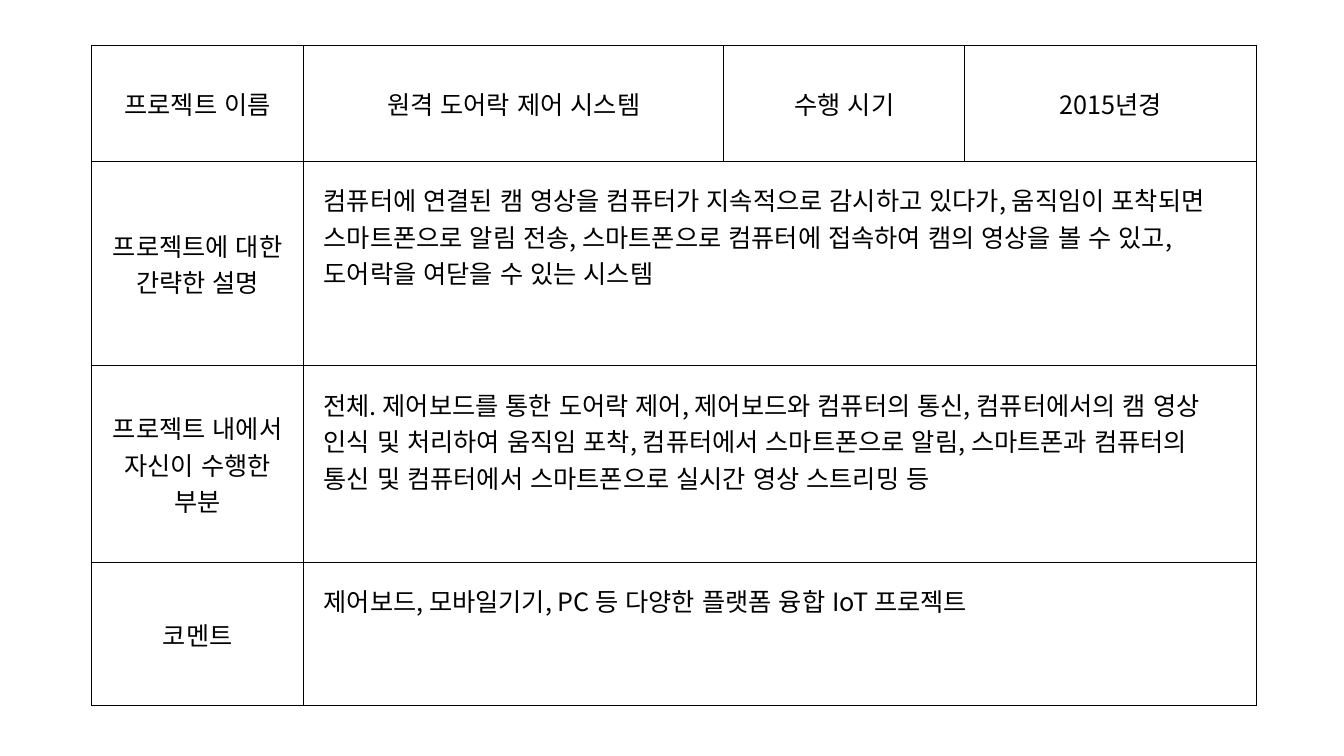
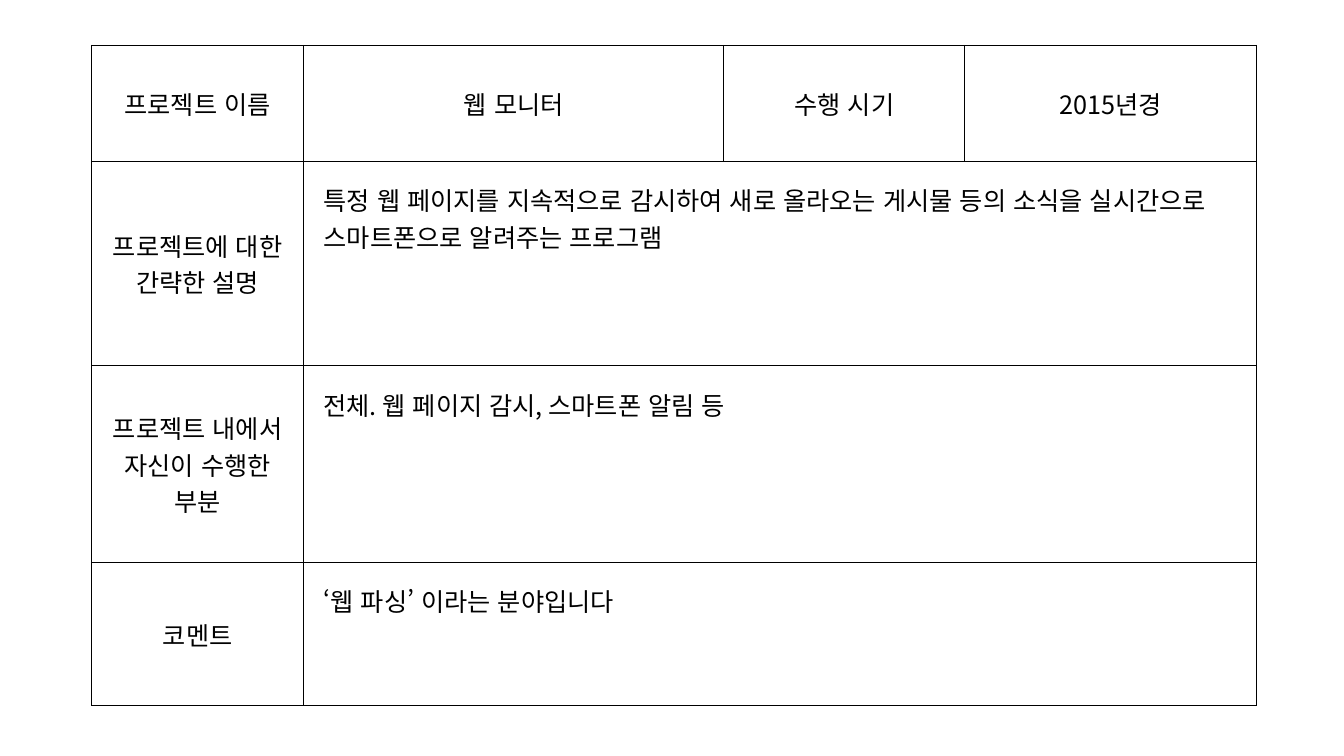
from lxml import etree
from pptx import Presentation
from pptx import util as u
from pptx.dml.color import RGBColor
from pptx.enum import lang, text
from pptx.oxml import ns

COLORS = {"ink": "000000", "paper": "FFFFFF"}
FONT = "Noto Sans CJK KR"
COLUMNS = [2.1, 4.17, 2.39, 2.89]
ROWS = [1.15, 2.03, 1.95, 1.42]
LABELS = ["프로젝트에 대한 간략한 설명", "프로젝트 내에서 자신이 수행한 부분", "코멘트"]

PROJECTS = [
    ("원격 도어락 제어 시스템", "2015년경", [
        "컴퓨터에 연결된 캠 영상을 컴퓨터가 지속적으로 감시하고 있다가, "
        "움직임이 포착되면 스마트폰으로 알림 전송, 스마트폰으로 컴퓨터에 "
        "접속하여 캠의 영상을 볼 수 있고, 도어락을 여닫을 수 있는 시스템",
        "전체. 제어보드를 통한 도어락 제어, 제어보드와 컴퓨터의 통신, "
        "컴퓨터에서의 캠 영상 인식 및 처리하여 움직임 포착, 컴퓨터에서 "
        "스마트폰으로 알림, 스마트폰과 컴퓨터의 통신 및 컴퓨터에서 "
        "스마트폰으로 실시간 영상 스트리밍 등",
        "제어보드, 모바일기기, PC 등 다양한 플랫폼 융합 IoT 프로젝트",
    ]),
    ("웹 모니터", "2015년경", [
        "특정 웹 페이지를 지속적으로 감시하여 새로 올라오는 게시물 등의 "
        "소식을 실시간으로 스마트폰으로 알려주는 프로그램",
        "전체. 웹 페이지 감시, 스마트폰 알림 등",
        "‘웹 파싱’ 이라는 분야입니다",
    ]),
]


def rgb(name):
    """Return a named colour."""
    return RGBColor.from_string(COLORS[name])


class Deck:
    """Holds the presentation, its style and the current slide."""

    def __init__(self):
        """Start a widescreen presentation."""
        self.prs = Presentation()
        self.prs.slide_width = u.Inches(13.33)
        self.prs.slide_height = u.Inches(7.5)
        self.slide = None

    def add_slide(self):
        """Add a blank slide and make it current."""
        self.slide = self.prs.slides.add_slide(self.prs.slide_layouts[6])

    def style_cell(self, cell):
        """Give a cell its borders and fill."""
        tc_pr = cell._tc.get_or_add_tcPr()
        for side in ("a:lnL", "a:lnR", "a:lnT", "a:lnB"):
            ln = etree.SubElement(tc_pr, ns.qn(side), w=str(u.Pt(1)))
            fill = etree.SubElement(ln, ns.qn("a:solidFill"))
            etree.SubElement(fill, ns.qn("a:srgbClr"), val=COLORS["ink"])
        cell.fill.solid()
        cell.fill.fore_color.rgb = rgb("paper")

    def set_text(self, cell, words):
        """Put a paragraph of text in a cell, in the deck's font."""
        cell.text_frame.text = words
        p = cell.text_frame.paragraphs[0]
        r = p.runs[0]
        r.font.size = u.Pt(18)
        r.font.name = FONT
        r.font.language_id = lang.MSO_LANGUAGE_ID.KOREAN
        r.font.color.rgb = rgb("ink")
        etree.SubElement(r.font._element, ns.qn("a:ea"), typeface=FONT)
        return p

    def label(self, cell, words):
        """Put centred text in a cell."""
        p = self.set_text(cell, words)
        p.alignment = text.PP_ALIGN.CENTER
        cell.vertical_anchor = text.MSO_ANCHOR.MIDDLE

    def body(self, cell, words):
        """Put left-aligned text in a cell with wide margins."""
        p = self.set_text(cell, words)
        p.alignment = text.PP_ALIGN.LEFT
        cell.vertical_anchor = text.MSO_ANCHOR.TOP
        cell.margin_left = cell.margin_right = u.Inches(0.2)
        cell.margin_top = cell.margin_bottom = u.Inches(0.2)

    def grid(self):
        """Add the empty bordered table."""
        table = self.slide.shapes.add_table(
            len(ROWS), len(COLUMNS), u.Inches(0.91), u.Inches(0.45),
            u.Inches(sum(COLUMNS)), u.Inches(sum(ROWS))).table
        table.first_row = table.horz_banding = False
        for column, width in zip(table.columns, COLUMNS):
            column.width = u.Inches(width)
        for row, height in zip(table.rows, ROWS):
            row.height = u.Inches(height)
        for cell in table.iter_cells():
            self.style_cell(cell)
        return table

    def project(self, name, period, details):
        """Add the table that describes one project."""
        table = self.grid()
        header = ["프로젝트 이름", name, "수행 시기", period]
        for column, words in enumerate(header):
            self.label(table.cell(0, column), words)
        for row, (title, words) in enumerate(zip(LABELS, details), start=1):
            self.label(table.cell(row, 0), title)
            detail = table.cell(row, 1)
            detail.merge(table.cell(row, len(COLUMNS) - 1))
            self.body(detail, words)


def main():
    """Build one slide per project and save."""
    deck = Deck()
    for name, period, details in PROJECTS:
        deck.add_slide()
        deck.project(name, period, details)
    deck.prs.save("out.pptx")


main()
